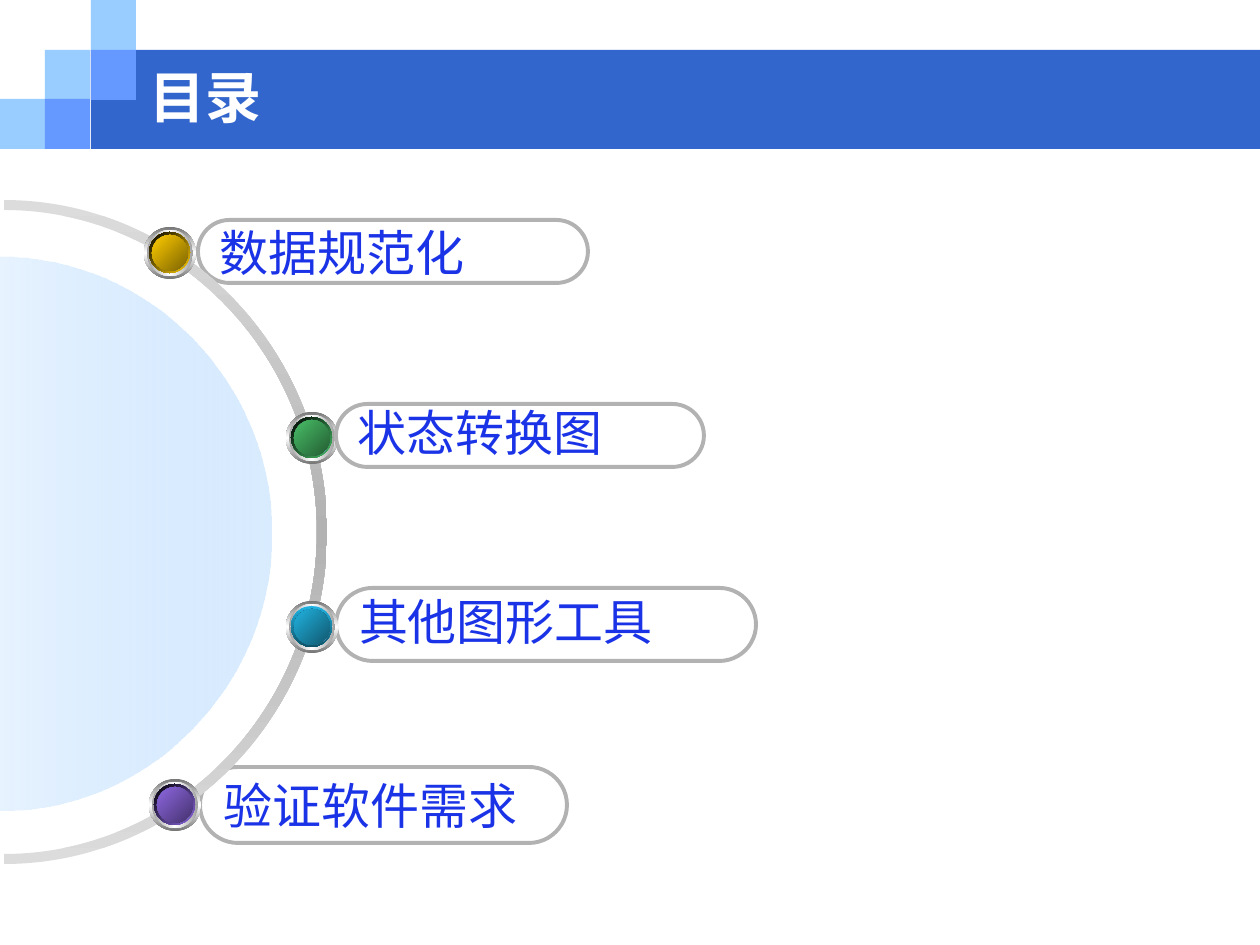
from lxml.etree import SubElement
from pptx import Presentation
from pptx.dml.color import RGBColor
from pptx.enum.shapes import MSO_SHAPE
from pptx.enum.text import MSO_ANCHOR, PP_ALIGN
from pptx.oxml.ns import qn
from pptx.util import Emu, Pt

EMU_PER_PX = 914400 / 126
CURVE_RATIO = 0.55
CJK_FONT = "Noto Sans CJK SC"
COLUMN_LEFTS = (0, 45, 91)
ROW_TOPS = (0, 50, 99)
STEP_WIDTH, STEP_HEIGHT = 45, 50
BEAD_SIZE = 52

LIGHT_STEPS = [(0, 2), (1, 1), (2, 0)]
MID_STEPS = [(2, 1), (1, 2)]

TOPICS_BEHIND_ARC = [
    ("验证软件需求", (200, 767, 367, 76), "Arial", False),
    ("其他图形工具", (336, 588, 420, 73), "Arial", True),
    ("数据规范化", (198, 220, 390, 63), CJK_FONT, False),
]
TOPIC_BEFORE_ARC = ("状态转换图", (336, 404, 368, 63), CJK_FONT, True)

BEADS = [
    (144, 227, "FFCC00", "000000", 225, "7C6300"),
    (286, 412, "48BE67", "000000", 225, "235C32"),
    (286, 601, "21B3E1", "0F5368", 90, "10576D"),
    (149, 779, "8D67E1", "000000", 225, "45326D"),
]


def px(length):
    return Emu(round(length * EMU_PER_PX))


def color(value):
    return RGBColor.from_string(value)


def add_plain(slide, preset, box, fill=None):
    shape = slide.shapes.add_shape(preset, *map(px, box))
    shape.shadow.inherit = False
    shape.line.fill.background()
    if fill:
        shape.fill.solid()
        shape.fill.fore_color.rgb = color(fill)
    else:
        shape.fill.background()
    return shape


def set_gradient(shape, colors, angle, alphas=None):
    shape.fill.gradient()
    shape.fill.gradient_angle = (360 - angle) % 360
    stops = shape._element.spPr.find(qn("a:gradFill")).find(qn("a:gsLst"))
    for old_stop in list(stops):
        stops.remove(old_stop)
    for index, value in enumerate(colors):
        position = 100000 * index // (len(colors) - 1)
        stop = SubElement(stops, qn("a:gs"), pos=str(position))
        stop_color = SubElement(stop, qn("a:srgbClr"), val=value)
        if alphas:
            SubElement(stop_color, qn("a:alpha"), val=str(alphas[index] * 1000))


def write_text(frame, text, font_name, size, text_color, bold=False):
    frame.text = text
    frame.vertical_anchor = MSO_ANCHOR.MIDDLE
    paragraph = frame.paragraphs[0]
    paragraph.alignment = PP_ALIGN.LEFT
    font = paragraph.runs[0].font
    font.name = font_name
    font.size = Pt(size)
    font.bold = bold
    font.color.rgb = color(text_color)
    SubElement(font._element, qn("a:ea"), typeface=CJK_FONT)
    return paragraph


def add_header(slide):
    add_plain(slide, MSO_SHAPE.RECTANGLE, (91, 50, 1169, 99), "3366CC")
    for fill, steps in (("99CCFF", LIGHT_STEPS), ("6699FF", MID_STEPS)):
        for column, row in steps:
            box = (COLUMN_LEFTS[column], ROW_TOPS[row], STEP_WIDTH, STEP_HEIGHT)
            add_plain(slide, MSO_SHAPE.RECTANGLE, box, fill)
    title = slide.shapes.add_textbox(px(137), px(63), px(1018), px(67))
    title.text_frame.word_wrap = True
    write_text(title.text_frame, "目录", "Times New Roman", 32, "FFFFFF", True)


def add_topic(slide, text, box, font_name, spaced):
    pill = add_plain(slide, MSO_SHAPE.ROUNDED_RECTANGLE, box)
    pill.adjustments[0] = 0.5
    pill.line.color.rgb = color("B2B2B2")
    pill.line.width = Pt(2.25)
    pill.text_frame.word_wrap = False
    paragraph = write_text(pill.text_frame, text, font_name, 28, "1B33E7")
    if spaced:
        paragraph.line_spacing = 0.9
        paragraph.space_before = Pt(7)


def half_ellipse(center_x, center_y, radius_x, radius_y):
    reach_x, reach_y = radius_x * CURVE_RATIO, radius_y * CURVE_RATIO
    offsets = [
        (0, -radius_y), (reach_x, -radius_y), (radius_x, -reach_y),
        (radius_x, 0),
        (radius_x, reach_y), (reach_x, radius_y), (0, radius_y),
    ]
    return [(px(center_x + x), px(center_y + y)) for x, y in offsets]


def join_as_curve(outline, first_line):
    path_element = next(outline._element.iter(qn("a:path")))
    lines = path_element.findall(qn("a:lnTo"))[first_line:first_line + 3]
    curve = SubElement(path_element, qn("a:cubicBezTo"))
    lines[0].addprevious(curve)
    for line in lines:
        curve.append(line[0])
        path_element.remove(line)


def add_outline(slide, points, curve_starts):
    builder = slide.shapes.build_freeform(*points[0], scale=1.0)
    builder.add_line_segments(points[1:], close=True)
    outline = builder.convert_to_shape()
    for first_line in reversed(curve_starts):
        join_as_curve(outline, first_line)
    outline.shadow.inherit = False
    outline.line.fill.background()
    return outline


def add_arc_and_disc(slide):
    outer_edge = half_ellipse(4, 532, 323, 332)
    inner_edge = half_ellipse(4, 532, 313, 322)
    arc = add_outline(slide, outer_edge + inner_edge[::-1], [0, 3, 7, 10])
    set_gradient(arc, ["DCDCDC", "B2B2B2", "DCDCDC"], 90)
    disc = add_outline(slide, half_ellipse(0, 534, 271, 277), [0, 3])
    set_gradient(disc, ["99CCFF", "DDEEFF"], 180, alphas=[36, 70])


def add_bead(slide, left, top, tint, rim_end, rim_angle, shade):
    layers = [
        (52, ["767676", "FFFFFF", "767676"], 90),
        (46, ["A2A2A2", "FFFFFF", "A2A2A2"], 180),
        (41, ["FFFFFF", "99CCFF", "FFFFFF"], 225),
        (41, [tint, rim_end], rim_angle),
        (36, ["536E8A", "99CCFF", "536E8A"], 135),
        (36, [shade, tint], 225),
    ]
    for size, colors, angle in layers:
        inset = (BEAD_SIZE - size) // 2
        disc = add_plain(slide, MSO_SHAPE.OVAL, (left + inset, top + inset, size, size))
        set_gradient(disc, colors, angle)


def main():
    presentation = Presentation()
    presentation.slide_width = px(1260)
    presentation.slide_height = px(945)
    slide = presentation.slides.add_slide(presentation.slide_layouts[6])
    add_header(slide)
    for topic in TOPICS_BEHIND_ARC:
        add_topic(slide, *topic)
    add_arc_and_disc(slide)
    for bead in BEADS:
        add_bead(slide, *bead)
    add_topic(slide, *TOPIC_BEFORE_ARC)
    presentation.save("out.pptx")


if __name__ == "__main__":
    main()
